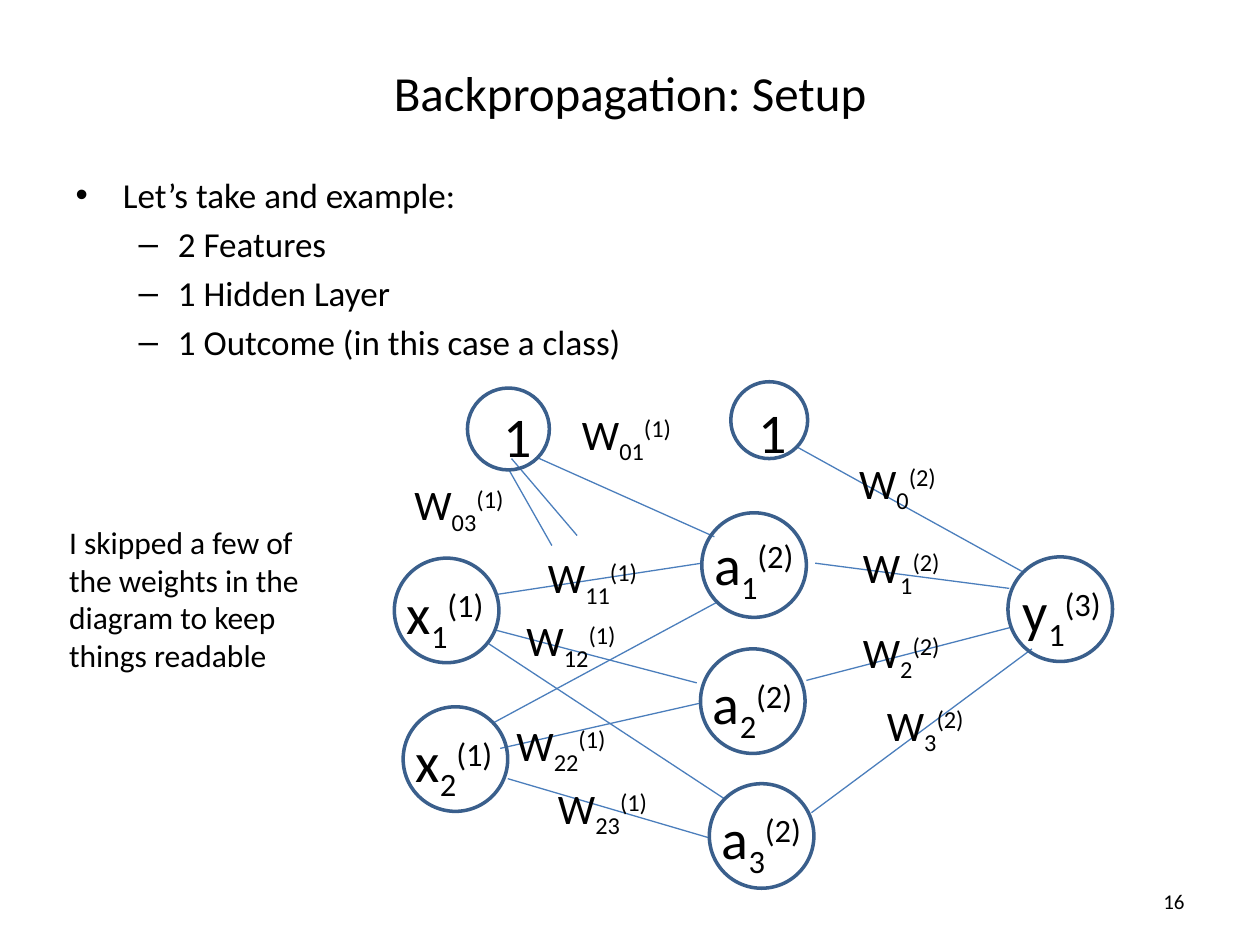
from typing import NamedTuple

from lxml.etree import SubElement
from pptx import Presentation
from pptx.dml.color import RGBColor
from pptx.enum.shapes import MSO_CONNECTOR, MSO_SHAPE
from pptx.enum.text import MSO_ANCHOR, MSO_AUTO_SIZE, PP_ALIGN
from pptx.oxml.ns import qn
from pptx.util import Inches, Pt

BLACK = RGBColor(0x00, 0x00, 0x00)
EDGE_BLUE = RGBColor(0x4B, 0x7E, 0xBC)
NODE_BLUE = RGBColor(0x3A, 0x5F, 0x8C)
FONT = "Calibri"
SUBSCRIPT, SUPERSCRIPT = -25000, 30000
UNIT_SIZE = 0.83


class Symbol(NamedTuple):
    base: str
    sub: str = ""
    layer: str = ""


class Node(NamedTuple):
    symbol: Symbol
    left: float
    top: float
    size: float
    text_left: float
    text_top: float
    text_width: float = 0.89
    text_height: float = 0.64


class Edge(NamedTuple):
    x1: float
    y1: float
    x2: float
    y2: float


class Weight(NamedTuple):
    sub: str
    layer: str
    left: float
    top: float


def unit(base: str, sub: str, layer: str, left: float, top: float,
         text_dx: float = 0, text_dy: float = 0.11) -> Node:
    """A full-size neuron whose symbol starts near its left edge."""
    return Node(Symbol(base, sub, layer), left, top, UNIT_SIZE, left + text_dx, top + text_dy)


NODES = [
    Node(Symbol("1"), 3.71, 3.08, 0.65, 3.9, 3.14, 0.33, 0.5),
    Node(Symbol("1"), 5.8, 3.03, 0.61, 5.92, 3.11, 0.32, 0.47),
    unit("x", "1", "(1)", 3.13, 4.43),
    unit("x", "2", "(1)", 3.2, 5.61),
    unit("a", "1", "(2)", 5.57, 4.07, text_dy=0.08),
    unit("a", "2", "(2)", 5.56, 5.15),
    unit("a", "3", "(2)", 5.63, 6.22),
    unit("y", "1", "(3)", 8, 4.42, text_dx=0.02),
]

EDGES = [
    # Bias and inputs to the hidden layer
    Edge(4.26, 3.63, 5.67, 4.26),
    Edge(4.06, 3.64, 4.58, 4.25),
    Edge(4.04, 3.73, 4.38, 4.33),
    Edge(3.93, 4.72, 5.57, 4.47),
    Edge(3.93, 5, 5.53, 5.42),
    Edge(3.88, 5.11, 5.75, 6.34),
    Edge(3.91, 5.74, 5.69, 4.78),
    Edge(3.97, 5.94, 5.56, 5.58),
    Edge(4.03, 6.18, 5.63, 6.65),
    # Bias and hidden layer to the outcome
    Edge(6.33, 3.55, 8.12, 4.54),
    Edge(6.47, 4.47, 8.01, 4.67),
    Edge(6.4, 5.4, 8.02, 4.98),
    Edge(6.44, 6.45, 8.19, 5.15),
]

WEIGHTS = [
    Weight("01", "(1)", 4.52, 3.19),
    Weight("03", "(1)", 3.19, 3.75),
    Weight("11", "(1)", 4.25, 4.33),
    Weight("12", "(1)", 4.08, 4.83),
    Weight("22", "(1)", 4, 5.66),
    Weight("23", "(1)", 4.33, 6.16),
    Weight("0", "(2)", 6.72, 3.58),
    Weight("1", "(2)", 6.75, 4.25),
    Weight("2", "(2)", 6.75, 4.92),
    Weight("3", "(2)", 6.94, 5.5),
]


def style(font, size: float) -> None:
    font.name = FONT
    font.size = Pt(size)
    font.color.rgb = BLACK


def place(shape, left: float, top: float, width: float, height: float) -> None:
    shape.left, shape.top = Inches(left), Inches(top)
    shape.width, shape.height = Inches(width), Inches(height)


def add_text(slide, text: str, left: float, top: float, width: float, height: float,
             size: float):
    box = slide.shapes.add_textbox(Inches(left), Inches(top), Inches(width), Inches(height))
    frame = box.text_frame
    frame.word_wrap = True
    frame.text = text
    style(frame.paragraphs[0].runs[0].font, size)
    return frame


def add_symbol(slide, symbol: Symbol, left: float, top: float, width: float,
               height: float, size: float) -> None:
    """Write a base letter followed by its subscript and superscript."""
    frame = add_text(slide, symbol.base, left, top, width, height, size)
    frame.word_wrap = False
    frame.auto_size = MSO_AUTO_SIZE.SHAPE_TO_FIT_TEXT
    for text, shift in ((symbol.sub, SUBSCRIPT), (symbol.layer, SUPERSCRIPT)):
        if text:
            run = frame.paragraphs[0].add_run()
            run.text = text
            style(run.font, size)
            run.font._element.set("baseline", str(shift))


def add_edge(slide, edge: Edge) -> None:
    line = slide.shapes.add_connector(MSO_CONNECTOR.STRAIGHT, *map(Inches, edge))
    line.line.color.rgb = EDGE_BLUE
    line.line.width = Pt(0.75)
    SubElement(line._element.spPr, qn("a:effectLst"))


def add_node(slide, node: Node) -> None:
    circle = slide.shapes.add_shape(MSO_SHAPE.OVAL, Inches(node.left), Inches(node.top),
                                    Inches(node.size), Inches(node.size))
    circle.shadow.inherit = False
    circle.fill.background()
    circle.line.color.rgb = NODE_BLUE
    circle.line.width = Pt(2)
    add_symbol(slide, node.symbol, node.text_left, node.text_top,
               node.text_width, node.text_height, 32)


def add_outline(slide) -> None:
    title, body = slide.placeholders
    place(title, 0.5, 0.42, 9, 0.62)
    title.text_frame.text = "Backpropagation: Setup"
    style(title.text_frame.paragraphs[0].runs[0].font, 28)

    place(body, 0.5, 1.33, 9, 5.37)
    body.text_frame.text = "\n".join([
        "Let’s take and example:",
        "2 Features",
        "1 Hidden Layer",
        "1 Outcome (in this case a class)",
    ])
    for index, paragraph in enumerate(body.text_frame.paragraphs):
        paragraph.level = min(index, 1)
        style(paragraph.runs[0].font, 20)


def main() -> None:
    deck = Presentation()
    deck.slide_width, deck.slide_height = Inches(10), Inches(7.5)
    slide = deck.slides.add_slide(deck.slide_layouts[1])

    add_outline(slide)
    for edge in EDGES:
        add_edge(slide, edge)
    for node in NODES:
        add_node(slide, node)
    for weight in WEIGHTS:
        width = 0.98 if len(weight.sub) == 2 else 0.87
        add_symbol(slide, Symbol("W", weight.sub, weight.layer),
                   weight.left, weight.top, width, 0.5, 24)

    add_text(slide, "I skipped a few of the weights in the diagram to keep things readable",
             0.45, 4.1, 2.16, 1.31, 18)
    page_number = add_text(slide, "16", 7.17, 6.95, 2.33, 0.4, 12)
    page_number.vertical_anchor = MSO_ANCHOR.MIDDLE
    page_number.paragraphs[0].alignment = PP_ALIGN.RIGHT

    deck.save("out.pptx")


if __name__ == "__main__":
    main()
